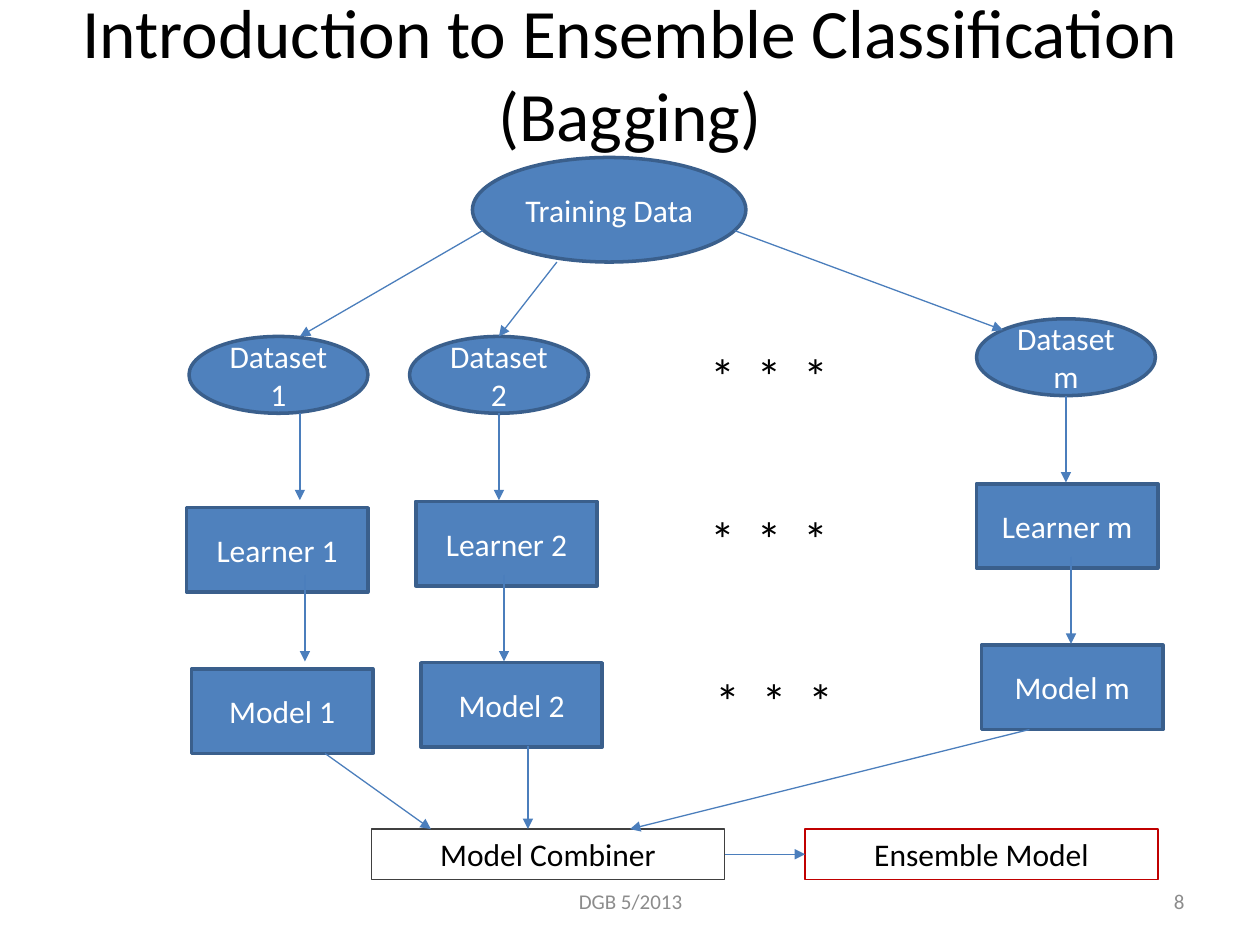
from lxml import etree
from pptx import Presentation
from pptx.dml.color import RGBColor
from pptx.enum.shapes import MSO_CONNECTOR, MSO_SHAPE
from pptx.enum.text import MSO_ANCHOR, PP_ALIGN
from pptx.oxml.ns import qn
from pptx.util import Inches, Pt

BLUE = RGBColor(0x4F, 0x81, 0xBD)
EDGE = RGBColor(0x3A, 0x5F, 0x8C)
ARROW = RGBColor(0x4B, 0x7E, 0xBC)
WHITE = RGBColor(0xFF, 0xFF, 0xFF)
BLACK = RGBColor(0x00, 0x00, 0x00)
GREY = RGBColor(0x8C, 0x8C, 0x8C)
DARK = RGBColor(0x40, 0x40, 0x40)
RED = RGBColor(0xC0, 0x00, 0x00)

OVAL = MSO_SHAPE.OVAL
RECT = MSO_SHAPE.RECTANGLE
LINE = MSO_CONNECTOR.STRAIGHT
MIDDLE = MSO_ANCHOR.MIDDLE
TOP = MSO_ANCHOR.TOP
LEFT = PP_ALIGN.LEFT
CENTER = PP_ALIGN.CENTER
RIGHT = PP_ALIGN.RIGHT

STEP_X = 0.04
STEP_Y = 1.28
DROP = 0.69

COLUMNS = [
    ("1", (1.5, 2.67), (1.48, 4.03), (2.38, 3.28)),
    ("2", (3.25, 2.67), (3.3, 3.98), (3.96, 3.28)),
    ("m", (7.75, 2.53), (7.75, 3.84), (8.46, 3.14)),
]
STARS = [(5.54, 2.69), (5.54, 3.99), (5.58, 5.27)]
LINKS = [
    ((3.83, 1.83), (2.38, 2.67)),
    ((4.42, 2.08), (3.96, 2.67)),
    ((5.83, 1.83), (7.96, 2.62)),
    ((5.75, 6.78), (6.39, 6.78)),
    ((2.58, 5.98), (3.42, 6.58)),
    ((4.19, 5.92), (4.19, 6.58)),
    ((8.17, 5.79), (5, 6.58)),
]


def set_all(item, values):
    for name, value in values.items():
        setattr(item, name, value)


def write(shape, text, size, color, align=CENTER, anchor=MIDDLE):
    frame = shape.text_frame
    frame.text = text
    set_all(frame, {"word_wrap": True, "vertical_anchor": anchor})
    for para in frame.paragraphs:
        para.alignment = align
        for run in para.runs:
            set_all(run.font, {"name": "Calibri", "size": Pt(size)})
            run.font.color.rgb = color


def place(shape, box):
    names = ("left", "top", "width", "height")
    set_all(shape, dict(zip(names, map(Inches, box))))


def add_title(slide, text, box):
    title = slide.shapes.title
    place(title, box)
    write(title, text, 39.6, BLACK)


def add_label(slide, text, box, size, color, align=LEFT, anchor=MIDDLE):
    label = slide.shapes.add_textbox(*map(Inches, box))
    write(label, text, size, color, align, anchor)


def add_node(slide, kind, text, box):
    node = slide.shapes.add_shape(kind, *map(Inches, box))
    node.shadow.inherit = False
    node.fill.solid()
    node.fill.fore_color.rgb = BLUE
    node.line.color.rgb = EDGE
    node.line.width = Pt(2)
    write(node, text, 18, WHITE)


def add_frame(slide, text, box, color):
    frame = slide.shapes.add_shape(RECT, *map(Inches, box))
    frame.shadow.inherit = False
    frame.fill.background()
    frame.line.color.rgb = color
    frame.line.width = Pt(0.75)
    write(frame, text, 18, BLACK, anchor=TOP)


def add_arrow(slide, start, end):
    arrow = slide.shapes.add_connector(LINE, *map(Inches, start + end))
    arrow.line.color.rgb = ARROW
    arrow.line.width = Pt(0.75)
    tail = etree.SubElement(arrow.line._get_or_add_ln(), qn("a:tailEnd"))
    tail.set("type", "triangle")
    etree.SubElement(arrow._element.spPr, qn("a:effectLst"))


def add_column(slide, name, data, learn, drop):
    add_node(slide, OVAL, f"Dataset {name}", data + (1.42, 0.61))
    for row, stage in enumerate(("Learner", "Model")):
        dx, dy = row * STEP_X, row * STEP_Y
        box = (learn[0] + dx, learn[1] + dy, 1.44, 0.67)
        add_node(slide, RECT, f"{stage} {name}", box)
    for row in range(2):
        x, y = drop[0] + row * STEP_X, drop[1] + row * STEP_Y
        add_arrow(slide, (x, y), (x, y + DROP))


def main():
    deck = Presentation()
    set_all(deck, {"slide_width": Inches(10), "slide_height": Inches(7.5)})
    slide = deck.slides.add_slide(deck.slide_layouts[5])
    add_title(slide, "Introduction to Ensemble Classification\v(Bagging)",
              (0.5, -0.05, 9, 1.25))
    add_label(slide, "DGB 5/2013", (3.42, 6.95, 3.17, 0.4), 12, GREY, CENTER)
    add_label(slide, "8", (7.17, 6.95, 2.33, 0.4), 12, GREY, RIGHT)
    add_node(slide, OVAL, "Training Data", (3.75, 1.25, 2.17, 0.83))
    for column in COLUMNS:
        add_column(slide, *column)
    for spot in STARS:
        add_label(slide, "*  *  *", spot + (1.42, 0.57), 28, BLACK, anchor=TOP)
    add_frame(slide, "Model Combiner", (2.95, 6.58, 2.8, 0.4), DARK)
    add_frame(slide, "Ensemble Model", (6.39, 6.58, 2.8, 0.4), RED)
    for start, end in LINKS:
        add_arrow(slide, start, end)
    deck.save("out.pptx")


if __name__ == "__main__":
    main()
